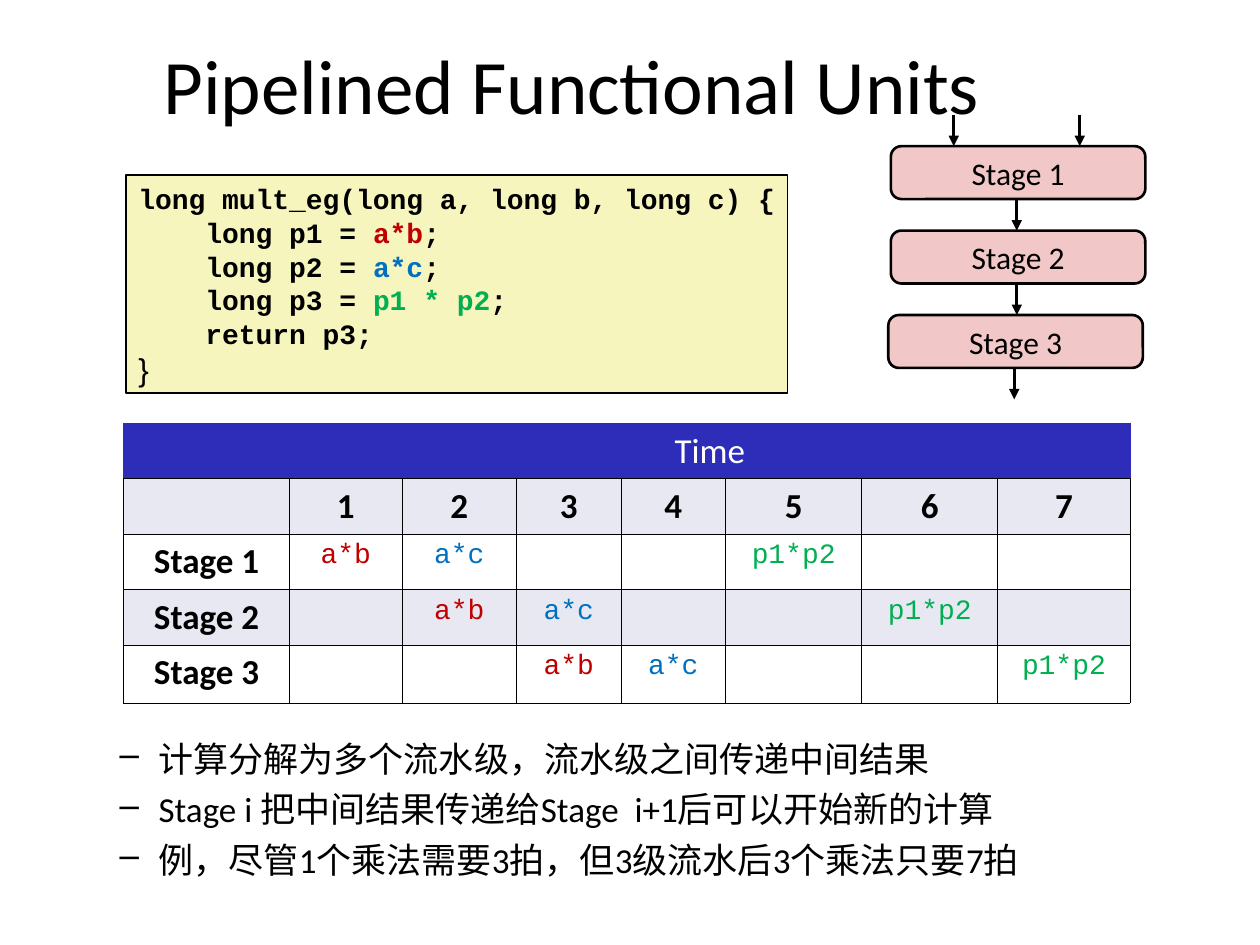
from lxml import etree
from pptx import Presentation
from pptx.dml.color import RGBColor
from pptx.enum.shapes import MSO_CONNECTOR, MSO_SHAPE
from pptx.enum.text import MSO_ANCHOR, PP_ALIGN
from pptx.oxml.ns import qn
from pptx.util import Inches, Pt

RECT, ROUND = MSO_SHAPE.RECTANGLE, MSO_SHAPE.ROUNDED_RECTANGLE
LINE = MSO_CONNECTOR.STRAIGHT
LEFT, MID = PP_ALIGN.LEFT, PP_ALIGN.CENTER
TOP, CORE = MSO_ANCHOR.TOP, MSO_ANCHOR.MIDDLE
WIDE, HIGH = Inches(10), Inches(7.5)
COL, ROW = WIDE / 100, HIGH / 75
SANS, MONO = "Calibri", "Courier New"
BLACK, WHITE, BLUE, PALE = "000000", "FFFFFF", "2D2DB9", "E8E8F3"
TERMS = {"a*b": "C00000", "a*c": "0070C0", "p1*p2": "00B050"}
CODE = [
    [("long mult_eg(long a, long b, long c) {", BLACK)],
    [("    long p1 = ", BLACK), ("a*b", TERMS["a*b"]), (";", BLACK)],
    [("    long p2 = ", BLACK), ("a*c", TERMS["a*c"]), (";", BLACK)],
    [("    long p3 = ", BLACK), ("p1 * p2", TERMS["p1*p2"]), (";", BLACK)],
    [("    return p3;", BLACK)],
]
NOTES = [
    "计算分解为多个流水级，流水级之间传递中间结果",
    "Stage i 把中间结果传递给Stage  i+1后可以开始新的计算",
    "例，尽管1个乘法需要3拍，但3级流水后3个乘法只要7拍",
]
STARTS = {"a*b": 1, "a*c": 2, "p1*p2": 5}
SPANS = [13.2, 8.9, 9.1, 8.3, 8.3, 10.8, 10.8, 10.5]
ROWS = [4.4, 4.4, 4.4, 4.4, 4.6]


def color(code):
    """Turn a hex string into a colour."""
    return RGBColor.from_string(code)


def place(x, y, w, h):
    """Turn grid columns and rows into slide lengths."""
    return round(x * COL), round(y * ROW), round(w * COL), round(h * ROW)


def add_run(para, text, size, font=SANS, tint=BLACK, bold=False):
    """Append one styled run to a paragraph."""
    run = para.add_run()
    run.text = text
    run.font.size, run.font.name, run.font.bold = Pt(size), font, bold
    run.font.color.rgb = color(tint)


def add_text(slide, area, anchor=TOP):
    """Add a wrapping text box and return its frame."""
    frame = slide.shapes.add_textbox(*place(*area)).text_frame
    frame.word_wrap, frame.vertical_anchor = True, anchor
    return frame


def add_box(slide, kind, area, fill, width, anchor):
    """Add an outlined shape and return it."""
    shape = slide.shapes.add_shape(kind, *place(*area))
    shape.shadow.inherit = False
    shape.fill.solid()
    shape.fill.fore_color.rgb = color(fill)
    shape.line.color.rgb = color(BLACK)
    shape.line.width = Pt(width)
    shape.text_frame.word_wrap = False
    shape.text_frame.vertical_anchor = anchor
    return shape


def add_arrow(slide, x, y):
    """Add a short arrow pointing down."""
    left, top, _, drop = place(x, y, 0, 2.5)
    line = slide.shapes.add_connector(LINE, left, top, left, top + drop)
    line.line.color.rgb = color(BLACK)
    line.line.width = Pt(1.5)
    props = line._element.spPr
    etree.SubElement(props.find(qn("a:ln")), qn("a:tailEnd"), type="triangle")
    etree.SubElement(props, qn("a:effectLst"))


def add_stages(slide):
    """Stack the three stages with their arrows."""
    for x in (75.7, 85.7):
        add_arrow(slide, x, 9.1)
    for i, x in enumerate((70.7, 70.7, 70.5)):
        y = 11.6 + 6.7 * i
        shape = add_box(slide, ROUND, (x, y, 20.2, 4.2), "F1C7C7", 1.5, CORE)
        shape.adjustments[0] = 0.2
        para = shape.text_frame.paragraphs[0]
        para.alignment = MID
        add_run(para, f"Stage {i + 1}", 18)
        add_arrow(slide, x + 10, y + 4.2)


def add_code(slide):
    """Show the function in a yellow panel."""
    frame = add_box(slide, RECT, (10, 13.9, 52.5, 17.3), "F6F5BD", 1, TOP).text_frame
    para = frame.paragraphs[0]
    for parts in CODE:
        para.alignment, para.line_spacing = LEFT, Pt(19.3)
        for text, tint in parts:
            add_run(para, text, 16, MONO, tint, True)
        para = frame.add_paragraph()
    para.alignment = LEFT
    add_run(para, "}", 18, "Arial")


def add_notes(slide):
    """List the dashed remarks."""
    frame = add_text(slide, (3.5, 58, 91.5, 14.2))
    for i, note in enumerate(NOTES):
        para = frame.add_paragraph() if i else frame.paragraphs[0]
        props = para._p.get_or_add_pPr()
        props.set("marL", str(Inches(0.81)))
        props.set("indent", str(Inches(-0.31)))
        etree.SubElement(props, qn("a:buChar"), char="–")
        para.space_before = Pt(5 if i else 0)
        add_run(para, note, 20)


def set_edges(cell, side):
    """Draw hairlines round a cell, with one colour for all but the bottom."""
    props = cell._tc.get_or_add_tcPr()
    for i, name in enumerate(("lnL", "lnR", "lnT", "lnB")):
        line = etree.Element(qn("a:" + name), w=str(Pt(0.45)))
        fill = etree.SubElement(line, qn("a:solidFill"))
        tint = BLACK if name == "lnB" else side
        etree.SubElement(fill, qn("a:srgbClr"), val=tint)
        props.insert(i, line)


def fill_cell(cell, text, fill, **style):
    """Paint a cell and centre its text."""
    cell.fill.solid()
    cell.fill.fore_color.rgb = color(fill)
    cell.margin_left = cell.margin_right = Inches(0.14)
    set_edges(cell, BLUE if fill == BLUE else BLACK)
    if text:
        para = cell.text_frame.paragraphs[0]
        para.alignment = MID
        add_run(para, text, **style)


def get_term(stage, time):
    """Name the product that a stage works on at a time."""
    return next((t for t, s in STARTS.items() if s + stage - 1 == time), "")


def add_chart_table(slide):
    """Lay out which product sits in which stage over time."""
    area = place(9.8, 33.6, sum(SPANS), sum(ROWS))
    grid = slide.shapes.add_table(len(ROWS), len(SPANS), *area).table
    for column, span in zip(grid.columns, SPANS):
        column.width = round(span * COL)
    for row, span in zip(grid.rows, ROWS):
        row.height = round(span * ROW)
    grid.cell(0, 1).merge(grid.cell(0, 7))
    for c in range(len(SPANS)):
        fill_cell(grid.cell(0, c), "Time" if c == 1 else "", BLUE, size=20, tint=WHITE)
        fill_cell(grid.cell(1, c), str(c) if c else "", PALE, size=20, bold=True)
    for stage in (1, 2, 3):
        fill = WHITE if stage % 2 else PALE
        fill_cell(grid.cell(stage + 1, 0), f"Stage {stage}", fill, size=20, bold=True)
        for time in range(1, len(SPANS)):
            term = get_term(stage, time)
            tint = TERMS.get(term, BLACK)
            fill_cell(grid.cell(stage + 1, time), term, fill, size=16, font=MONO, tint=tint)


def main():
    """Build and save the slide."""
    deck = Presentation()
    deck.slide_width, deck.slide_height = WIDE, HIGH
    slide = deck.slides.add_slide(deck.slide_layouts[6])
    title = add_text(slide, (3.9, 2.5, 83, 8.3), CORE).paragraphs[0]
    title.alignment = MID
    add_run(title, "Pipelined Functional Units", 44)
    add_stages(slide)
    add_code(slide)
    add_notes(slide)
    add_chart_table(slide)
    deck.save("out.pptx")


if __name__ == "__main__":
    main()
